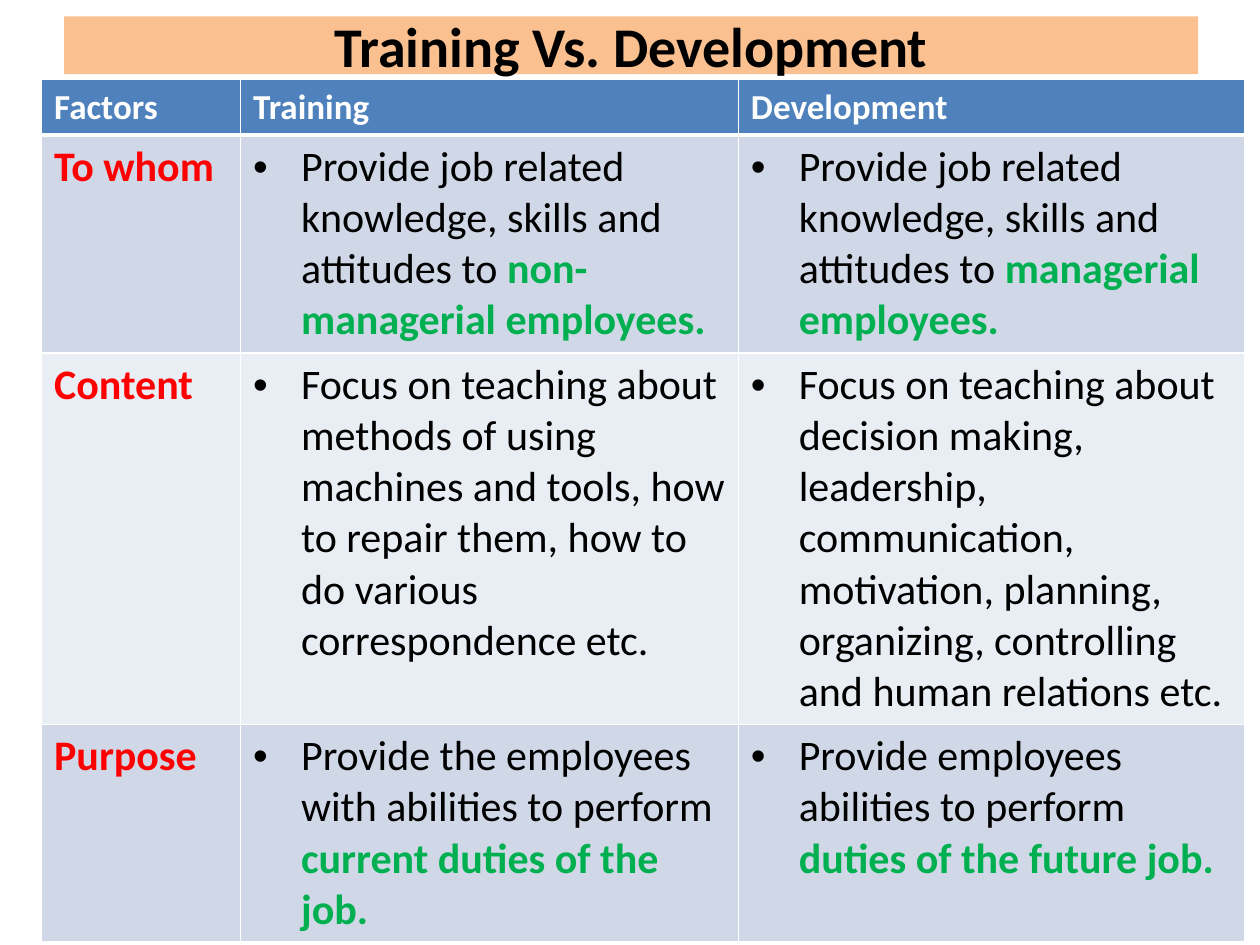
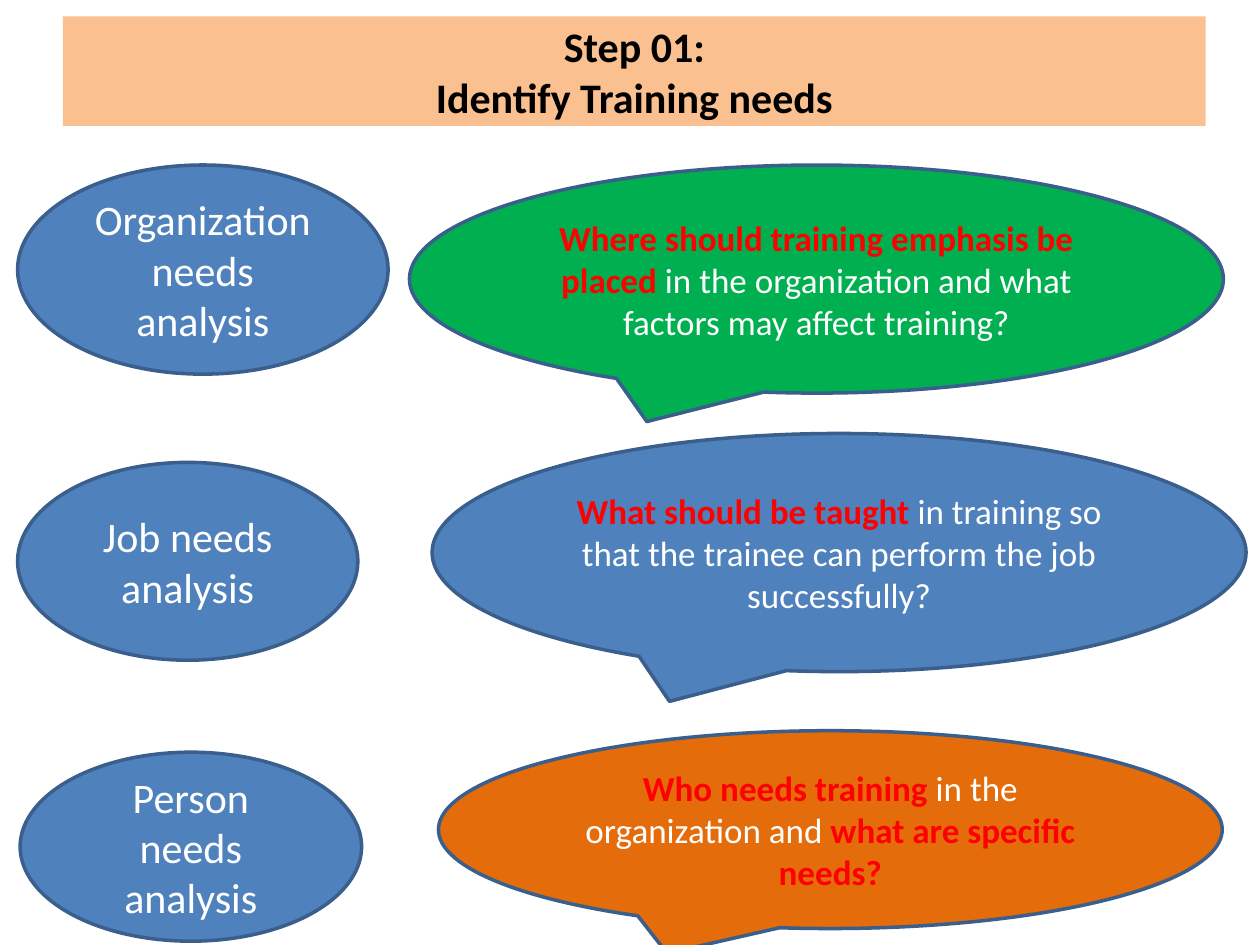
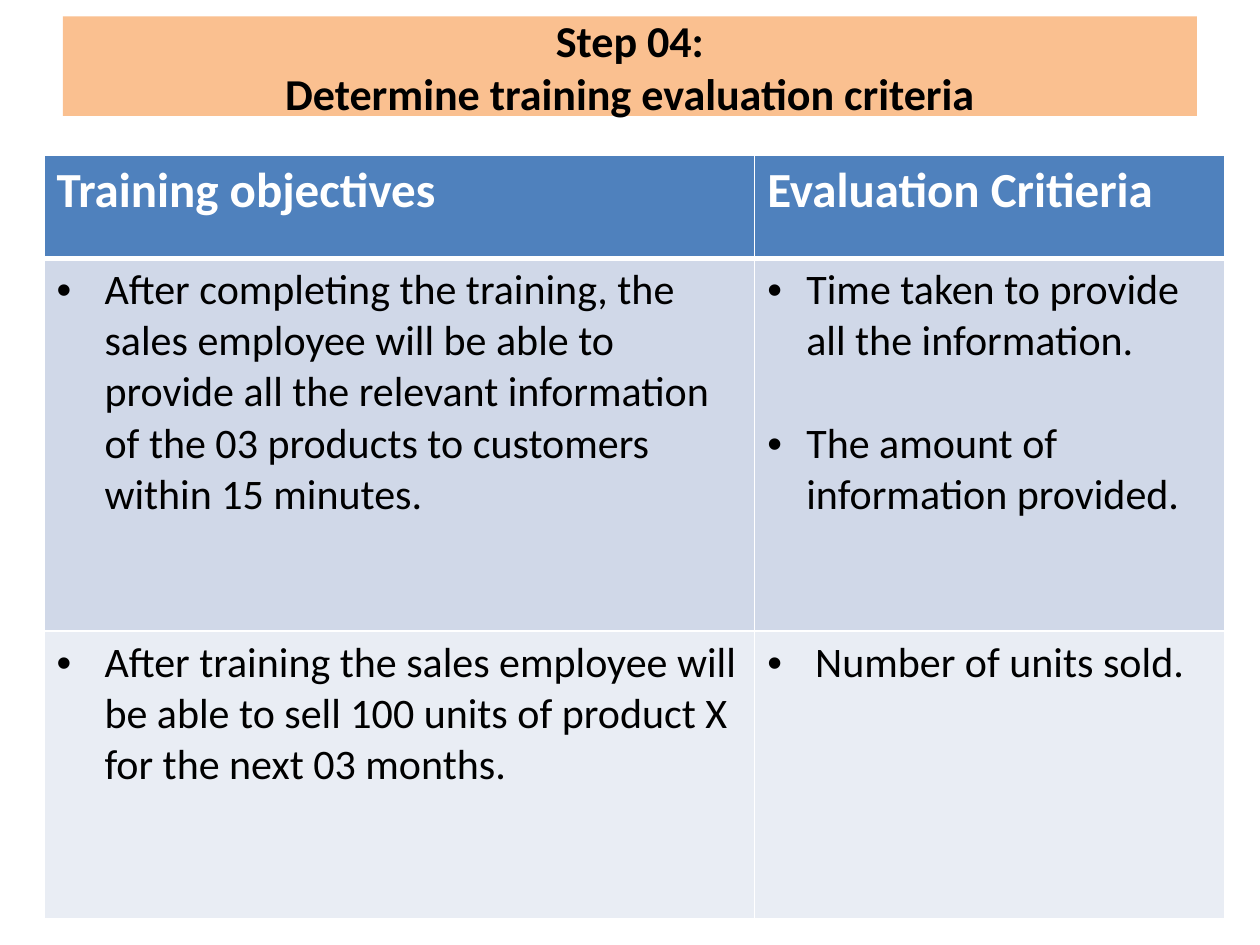
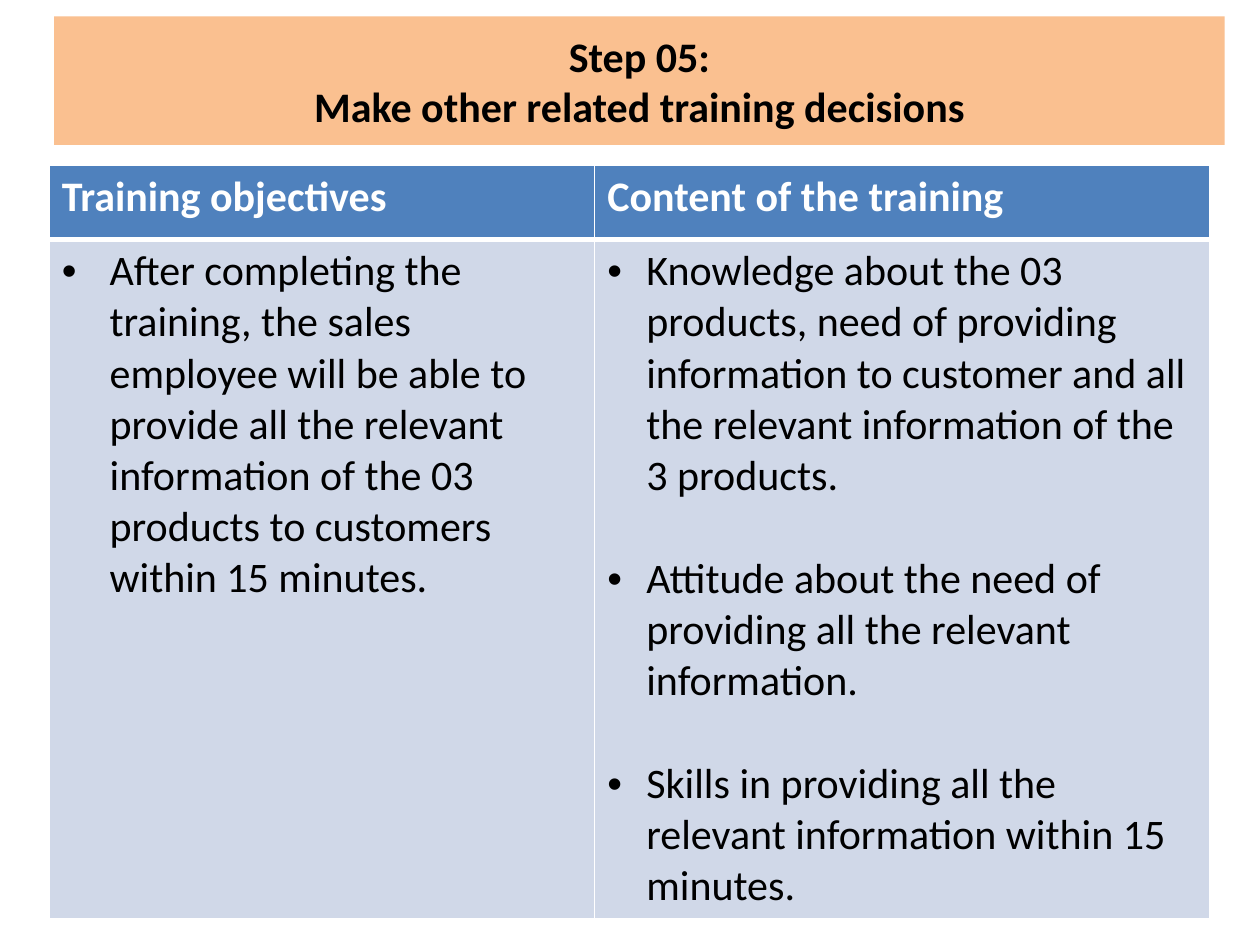
from dataclasses import dataclass

from lxml import etree
from pptx import Presentation
from pptx import util as u
from pptx.dml.color import RGBColor
from pptx.enum import shapes, text
from pptx.oxml import ns


@dataclass(frozen=True)
class Theme:
    font: str = "Calibri"
    band: str = "FAC090"
    blue: str = "4F81BD"
    outline: str = "3A5F8C"
    green: str = "00B050"
    orange: str = "E46C0A"
    red: str = "FF0000"
    black: str = "000000"
    white: str = "FFFFFF"
    stripes: tuple = ("D0D8E8", "E9EDF4")
    body: float = 24
    question: float = 20
    line_height: float = 1.22
    outline_width: float = 2
    rule: float = 1
    header_rule: float = 3


THEME = Theme()

STYLES = {
    "plain": (THEME.black, False),
    "title": (THEME.black, True),
    "light": (THEME.white, False),
    "header": (THEME.white, True),
    "factor": (THEME.red, True),
    "stress": (THEME.green, True),
}

SALES_OBJECTIVE = (
    "After completing the training, the sales employee will be able to provide all the "
    "relevant information of the 03 products to customers within 15 minutes."
)
JOB_RELATED = "Provide job related knowledge, skills and attitudes to "

SLIDES = [
    {
        "title": {"at": (0.51, 0.13, 9, 0.46), "size": 32, "lines": ["Training Vs. Development"]},
        "table": {
            "at": (0.33, 0.63),
            "columns": (1.58, 3.95, 4.02),
            "rows": (0.44, 1.73, 2.95, 1.66),
            "header_size": 20,
            "header": ["Factors", "Training", "Development"],
            "body": [
                [
                    {"factor": "To whom"},
                    {"indent": 0.38, "items": [[(JOB_RELATED, "plain"), ("non-managerial employees.", "stress")]]},
                    {"indent": 0.38, "items": [[(JOB_RELATED, "plain"), ("managerial employees.", "stress")]]},
                ],
                [
                    {"factor": "Content"},
                    {"indent": 0.38, "items": [[(
                        "Focus on teaching about methods of using machines and tools, how to "
                        "repair them, how to do various correspondence etc.", "plain")]]},
                    {"indent": 0.38, "items": [[(
                        "Focus on teaching about decision making, leadership, communication, motivation, "
                        "planning, organizing, controlling and human relations etc.", "plain")]]},
                ],
                [
                    {"factor": "Purpose"},
                    {"indent": 0.38, "items": [[
                        ("Provide the employees with abilities to perform", "plain"),
                        (" current duties of the job.", "stress")]]},
                    {"indent": 0.38, "items": [[
                        ("Provide employees abilities to perform ", "plain"),
                        ("duties of the future job.", "stress")]]},
                ],
            ],
        },
    },
    {
        "title": {"at": (0.5, 0.13, 9.07, 0.87), "size": 24, "lines": ["Step 01:", "Identify Training needs"]},
        "analyses": [
            ("Organization needs analysis", (0.14, 1.31, 2.94, 1.66)),
            ("Job needs analysis", (0.14, 3.67, 2.7, 1.57)),
            ("Person needs analysis", (0.16, 5.97, 2.71, 1.5)),
        ],
        "questions": [
            (
                [("Where should training emphasis be placed ", "factor"),
                 ("in the organization and what factors may affect training?", "light")],
                (3.25, 1.31, 6.46, 1.81), THEME.green,
            ),
            (
                [("What should be taught ", "factor"),
                 ("in training so that the trainee can perform the job successfully?", "light")],
                (3.43, 3.44, 6.46, 1.89), THEME.blue,
            ),
            (
                [("Who needs training ", "factor"), ("in the organization and ", "light"),
                 ("what are specific needs?", "factor")],
                (3.48, 5.8, 6.22, 1.57), THEME.orange,
            ),
        ],
    },
    {
        "title": {
            "at": (0.5, 0.13, 9, 0.79), "size": 25.2,
            "lines": ["Step 04:", "Determine training evaluation criteria"],
        },
        "table": {
            "at": (0.35, 1.23),
            "columns": (5.64, 3.73),
            "rows": (0.82, 2.96, 2.28),
            "header_size": 28,
            "header": ["Training objectives", "Evaluation Critieria"],
            "body": [
                [
                    {"indent": 0.38, "items": [[(SALES_OBJECTIVE, "plain")]]},
                    {"indent": 0.31, "items": [
                        [("Time taken to provide all the information.", "plain")],
                        [("The amount of information provided.", "plain")]]},
                ],
                [
                    {"indent": 0.38, "items": [[(
                        "After training the sales employee will be able to sell 100 units of "
                        "product X for the next 03 months.", "plain")]]},
                    {"indent": 0.38, "items": [[("Number of units sold.", "plain")]]},
                ],
            ],
        },
    },
    {
        "table": {
            "at": (0.39, 1.31),
            "columns": (4.33, 4.88),
            "rows": (0.59, 5.38),
            "header_size": 24,
            "header": ["Training objectives", "Content of the training"],
            "body": [
                [
                    {"indent": 0.38, "items": [[(SALES_OBJECTIVE, "plain")]]},
                    {"indent": 0.31, "items": [
                        [("Knowledge about the 03 products, need of providing information to customer "
                          "and all the relevant information of the 3 products.", "plain")],
                        [("Attitude about the need of providing all the relevant information.", "plain")],
                        [("Skills in providing all the relevant information within 15 minutes.", "plain")]]},
                ],
            ],
        },
        "title": {
            "at": (0.43, 0.13, 9.29, 1.02), "size": 24,
            "lines": ["Step 05:", "Make other related training decisions"],
        },
    },
]


def color(code):
    return RGBColor.from_string(code)


def add_run(paragraph, words, style, size):
    run = paragraph.add_run()
    run.text = words
    font = run.font
    font.name, font.size = THEME.font, u.Pt(size)
    tint, font.bold = STYLES[style]
    font.color.rgb = color(tint)


def add_panel(slide, preset, at, fill, outline=None):
    panel = slide.shapes.add_shape(preset, *map(u.Inches, at))
    panel.shadow.inherit = False
    panel.fill.solid()
    panel.fill.fore_color.rgb = color(fill)
    if outline:
        panel.line.color.rgb = color(outline)
        panel.line.width = u.Pt(THEME.outline_width)
    else:
        panel.line.fill.background()
    frame = panel.text_frame
    frame.word_wrap = True
    frame.vertical_anchor = text.MSO_ANCHOR.MIDDLE
    paragraph = frame.paragraphs[0]
    paragraph.alignment = text.PP_ALIGN.CENTER
    return paragraph


def add_title(slide, title):
    heading = add_panel(slide, shapes.MSO_SHAPE.RECTANGLE, title["at"], THEME.band)
    for number, line in enumerate(title["lines"]):
        if number:
            heading.add_line_break()
        add_run(heading, line, "title", title["size"])


def add_analyses(slide, analyses):
    for name, at in analyses:
        label = add_panel(slide, shapes.MSO_SHAPE.OVAL, at, THEME.blue, THEME.outline)
        add_run(label, name, "light", THEME.body)


def add_questions(slide, questions):
    for runs, at, fill in questions:
        question = add_panel(slide, shapes.MSO_SHAPE.OVAL_CALLOUT, at, fill, THEME.outline)
        for words, style in runs:
            add_run(question, words, style, THEME.question)


def set_borders(cell, top, bottom):
    properties = cell._tc.get_or_add_tcPr()
    widths = {"lnL": THEME.rule, "lnR": THEME.rule, "lnT": top, "lnB": bottom}
    for edge, width in widths.items():
        line = etree.SubElement(properties, ns.qn(f"a:{edge}"), w=str(u.Pt(width)))
        fill = etree.SubElement(line, ns.qn("a:solidFill"))
        etree.SubElement(fill, ns.qn("a:srgbClr"), val=THEME.white)


def add_bullets(frame, items, indent):
    for number, runs in enumerate(items):
        paragraph = frame.add_paragraph() if number else frame.paragraphs[0]
        if number:
            paragraph.space_before = u.Pt(round(THEME.body * THEME.line_height, 1))
        properties = paragraph._p.get_or_add_pPr()
        properties.set("marL", str(u.Inches(indent)))
        properties.set("indent", str(-u.Inches(indent)))
        etree.SubElement(properties, ns.qn("a:buFont"), typeface="Arial")
        etree.SubElement(properties, ns.qn("a:buChar"), char="•")
        for words, style in runs:
            add_run(paragraph, words, style, THEME.body)


def style_cell(cell, fill, top, bottom):
    set_borders(cell, top, bottom)
    cell.fill.solid()
    cell.fill.fore_color.rgb = color(fill)


def add_comparison(slide, content):
    columns, rows = content["columns"], content["rows"]
    extent = (*content["at"], sum(columns), sum(rows))
    table = slide.shapes.add_table(len(rows), len(columns), *map(u.Inches, extent)).table
    for column, width in zip(table.columns, columns):
        column.width = u.Inches(width)
    for row, height in zip(table.rows, rows):
        row.height = u.Inches(height)

    for column, name in enumerate(content["header"]):
        cell = table.cell(0, column)
        style_cell(cell, THEME.blue, THEME.rule, THEME.header_rule)
        add_run(cell.text_frame.paragraphs[0], name, "header", content["header_size"])

    for row, entries in enumerate(content["body"], start=1):
        top = THEME.header_rule if row == 1 else THEME.rule
        for column, entry in enumerate(entries):
            cell = table.cell(row, column)
            style_cell(cell, THEME.stripes[(row - 1) % 2], top, THEME.rule)
            if "factor" in entry:
                add_run(cell.text_frame.paragraphs[0], entry["factor"], "factor", THEME.body)
            else:
                add_bullets(cell.text_frame, entry["items"], entry["indent"])


BUILDERS = {
    "title": add_title,
    "table": add_comparison,
    "analyses": add_analyses,
    "questions": add_questions,
}


def main():
    deck = Presentation()
    deck.slide_width, deck.slide_height = u.Inches(10), u.Inches(7.5)
    for parts in SLIDES:
        slide = deck.slides.add_slide(deck.slide_layouts[6])
        for part, content in parts.items():
            BUILDERS[part](slide, content)
    deck.save("out.pptx")


if __name__ == "__main__":
    main()
